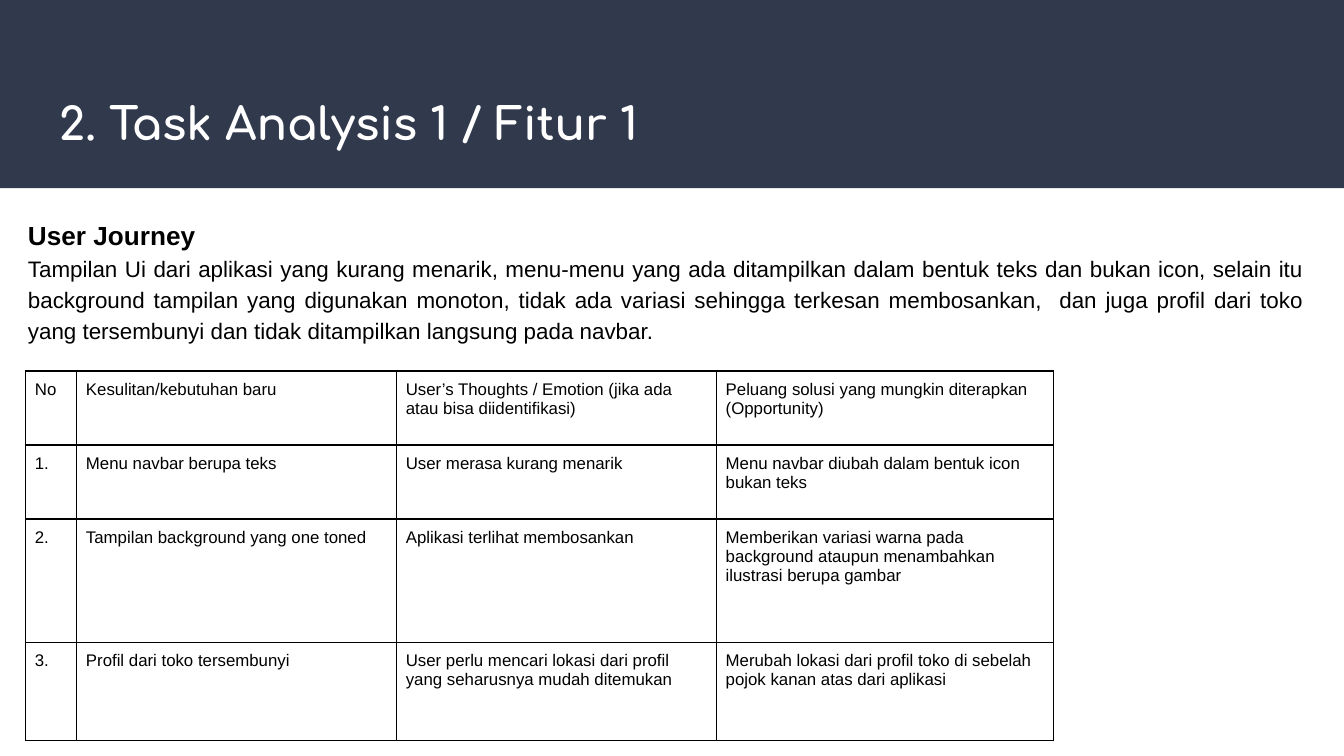
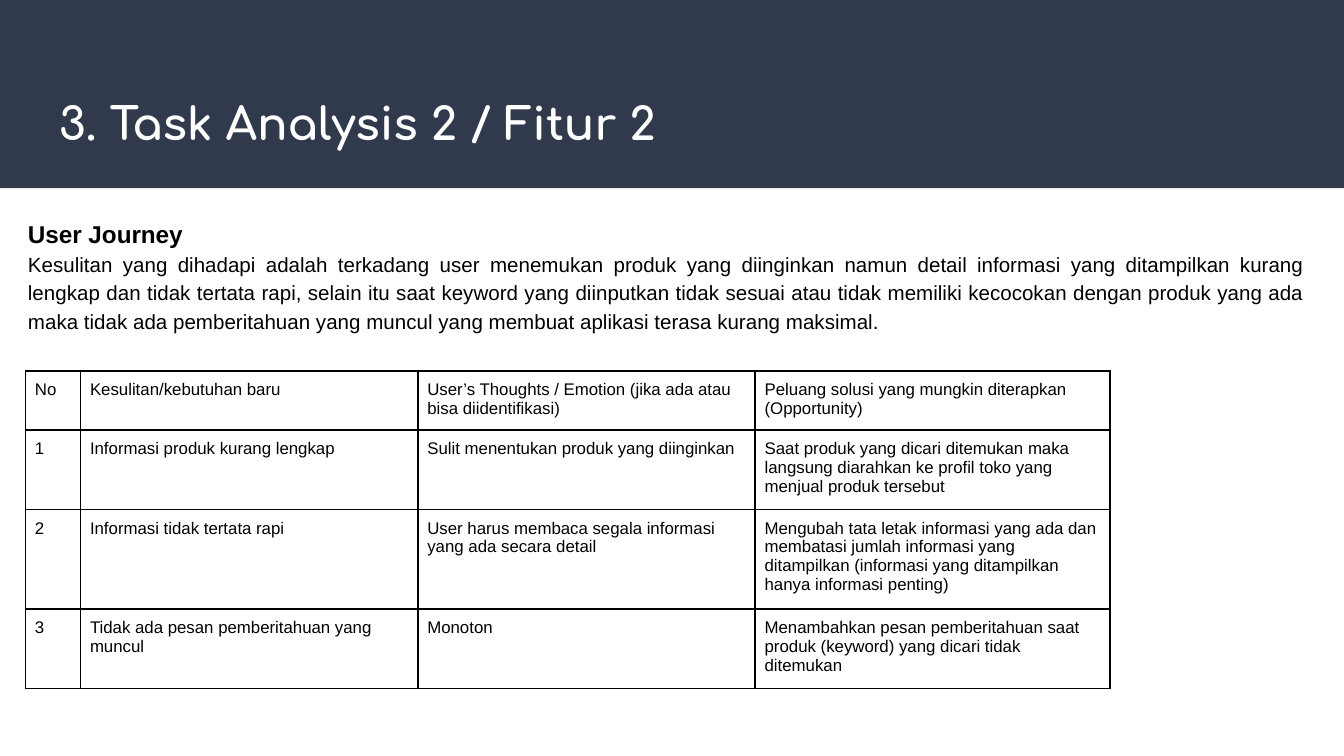
from lxml.etree import SubElement
from pptx import Presentation
from pptx.dml.color import RGBColor
from pptx.enum.shapes import MSO_SHAPE as Shape
from pptx.enum.text import MSO_ANCHOR as Anchor, PP_ALIGN as Align
from pptx.oxml.ns import qn
from pptx.util import Inches, Pt

# Content
HEADER = (
    "No",
    "Kesulitan/kebutuhan baru",
    "User’s Thoughts / Emotion (jika ada atau bisa diidentifikasi)",
    "Peluang solusi yang mungkin diterapkan (Opportunity)",
)
TASKS = [
    {
        "title": "2. Task Analysis 1 / Fitur 1",
        "journey": "Tampilan Ui dari aplikasi yang kurang menarik, menu-menu yang ada "
                   "ditampilkan dalam bentuk teks dan bukan icon, selain itu background "
                   "tampilan yang digunakan monoton, tidak ada variasi sehingga terkesan "
                   "membosankan,  dan juga profil dari toko yang tersembunyi dan tidak "
                   "ditampilkan langsung pada navbar.",
        "journey_size": 12,
        "journey_height": 1.14,
        "columns": (0.38, 2.38, 2.38, 2.51),
        "rows": (0.55, 0.55, 0.92, 0.73),
        "findings": [
            ("1.", "Menu navbar berupa teks", "User merasa kurang menarik",
             "Menu navbar diubah dalam bentuk icon bukan teks"),
            ("2.", "Tampilan background yang one toned", "Aplikasi terlihat membosankan",
             "Memberikan variasi warna pada background ataupun menambahkan "
             "ilustrasi berupa gambar"),
            ("3.", "Profil dari toko tersembunyi",
             "User perlu mencari lokasi dari profil yang seharusnya mudah ditemukan",
             "Merubah lokasi dari profil toko di sebelah pojok kanan atas dari aplikasi"),
        ],
    },
    {
        "title": "3. Task Analysis 2 / Fitur 2",
        "journey": "Kesulitan yang dihadapi adalah terkadang user menemukan produk yang "
                   "diinginkan namun detail informasi yang ditampilkan kurang lengkap dan "
                   "tidak tertata rapi, selain itu saat keyword yang diinputkan tidak sesuai "
                   "atau tidak memiliki kecocokan dengan produk yang ada maka tidak ada "
                   "pemberitahuan yang muncul yang membuat aplikasi terasa kurang maksimal.",
        "journey_size": 11,
        "journey_height": 1.06,
        "columns": (0.41, 2.51, 2.51, 2.64),
        "rows": (0.01,) * 4,  # rows grow to fit their text
        "findings": [
            ("1", "Informasi produk kurang lengkap",
             "Sulit menentukan produk yang diinginkan",
             "Saat produk yang dicari ditemukan maka langsung diarahkan ke profil toko "
             "yang menjual produk tersebut"),
            ("2", "Informasi tidak tertata rapi",
             "User harus membaca segala informasi yang ada secara detail",
             "Mengubah tata letak informasi yang ada dan membatasi jumlah informasi yang "
             "ditampilkan (informasi yang ditampilkan hanya informasi penting)"),
            ("3", "Tidak ada pesan pemberitahuan yang muncul", "Monoton",
             "Menambahkan pesan pemberitahuan saat produk (keyword) yang dicari "
             "tidak ditemukan"),
        ],
    },
]

# Shared style
COLORS = {"band": "31394D", "title": "FFFFFF", "text": "000000", "border": "000000"}
BODY_FONT, TITLE_FONT = "Arial", "Comfortaa"
PAGE_WIDTH = Inches(10)
PAGE_HEIGHT = PAGE_WIDTH * 9 // 16
CELL_MARGIN = Inches(0.07)
TABLE_SIDE = Inches(3.28)


def color(name):
    return RGBColor.from_string(COLORS[name])


def style(para, size, font=BODY_FONT, ink="text", bold=False):
    para.font.size = Pt(size)
    para.font.name = font
    para.font.bold = bold
    para.font.color.rgb = color(ink)


def add_text_box(page, left, top, width, height):
    box = page.shapes.add_textbox(Inches(left), Inches(top), Inches(width), Inches(height))
    frame = box.text_frame
    frame.word_wrap = True
    frame.margin_left = frame.margin_right = Inches(0.1)
    frame.margin_top = frame.margin_bottom = Inches(0.1)
    return frame


def add_title(page, title):
    band = page.shapes.add_shape(Shape.RECTANGLE, 0, 0, PAGE_WIDTH, Inches(1.4))
    band.shadow.inherit = False
    band.fill.solid()
    band.fill.fore_color.rgb = color("band")
    band.line.fill.background()

    frame = add_text_box(page, 0.34, 0.55, 9.32, 0.68)
    frame.vertical_anchor = Anchor.TOP
    para = frame.paragraphs[0]
    para.text = title
    para.line_spacing = 1.15
    style(para, 24, TITLE_FONT, "title", bold=True)


def add_journey(page, text, size, height):
    frame = add_text_box(page, 0.11, 1.5, 9.7, height)
    heading, body = frame.paragraphs[0], frame.add_paragraph()
    heading.text, body.text = "User Journey", text
    heading.line_spacing = body.line_spacing = 1.15
    body.alignment = Align.JUSTIFY
    style(heading, size + 2, bold=True)
    style(body, size)


def set_borders(cell):
    properties = cell._tc.get_or_add_tcPr()
    for position, side in enumerate(("a:lnL", "a:lnR", "a:lnT", "a:lnB")):
        line = SubElement(properties, qn(side), w=str(Pt(1)))
        fill = SubElement(line, qn("a:solidFill"))
        SubElement(fill, qn("a:srgbClr"), val=COLORS["border"])
        properties.insert(position, line)  # borders come before the fill


def add_findings(page, columns, rows, findings):
    records = [HEADER, *findings]
    holder = page.shapes.add_table(
        len(rows), len(columns), Inches(0.19), Inches(2.76), TABLE_SIDE, TABLE_SIDE)
    table = holder.table
    table.first_row = table.horz_banding = False
    for column, width in zip(table.columns, columns):
        column.width = Inches(width)
    for row, height, record in zip(table.rows, rows, records):
        row.height = Inches(height)
        for cell, text in zip(row.cells, record):
            cell.text = text
            cell.margin_left = cell.margin_right = CELL_MARGIN
            cell.margin_top = cell.margin_bottom = CELL_MARGIN
            cell.fill.background()
            set_borders(cell)
            style(cell.text_frame.paragraphs[0], 9)
    # Rows and columns decide the drawn size; the frame keeps its own
    holder.width = holder.height = TABLE_SIDE


def main():
    deck = Presentation()
    deck.slide_width, deck.slide_height = PAGE_WIDTH, PAGE_HEIGHT
    for task in TASKS:
        page = deck.slides.add_slide(deck.slide_layouts[6])
        add_title(page, task["title"])
        add_journey(page, task["journey"], task["journey_size"], task["journey_height"])
        add_findings(page, task["columns"], task["rows"], task["findings"])
    deck.save("out.pptx")


if __name__ == "__main__":
    main()
